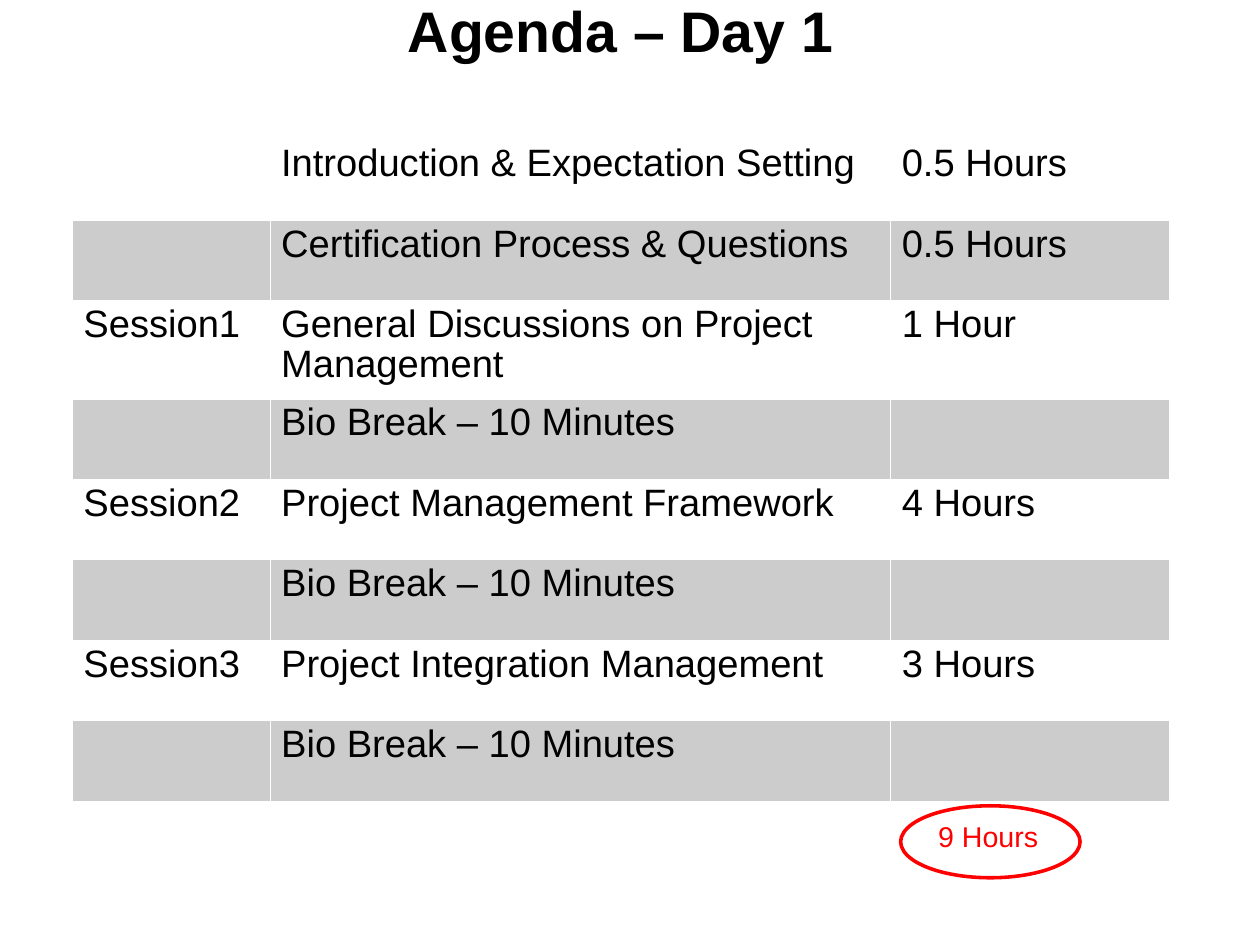
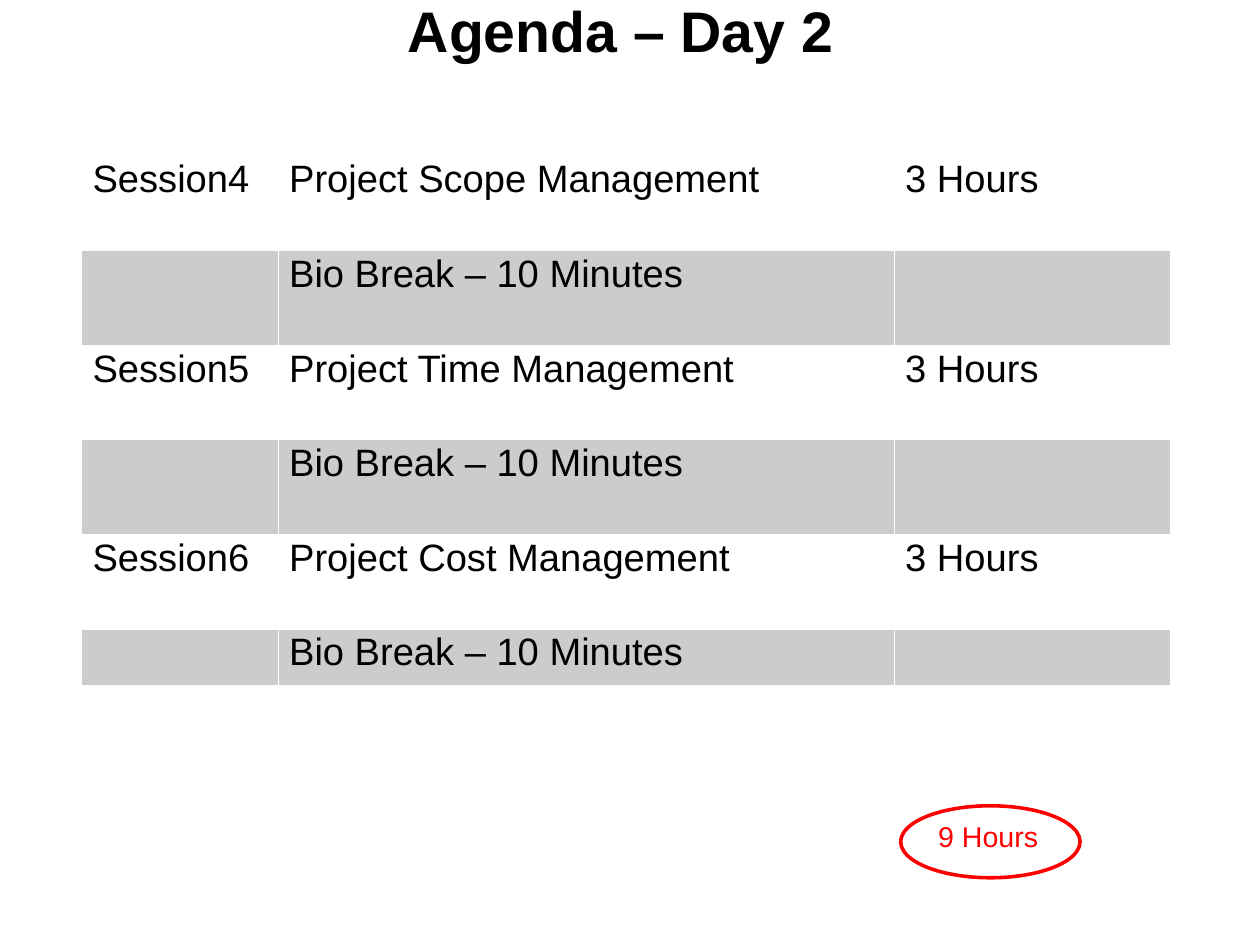
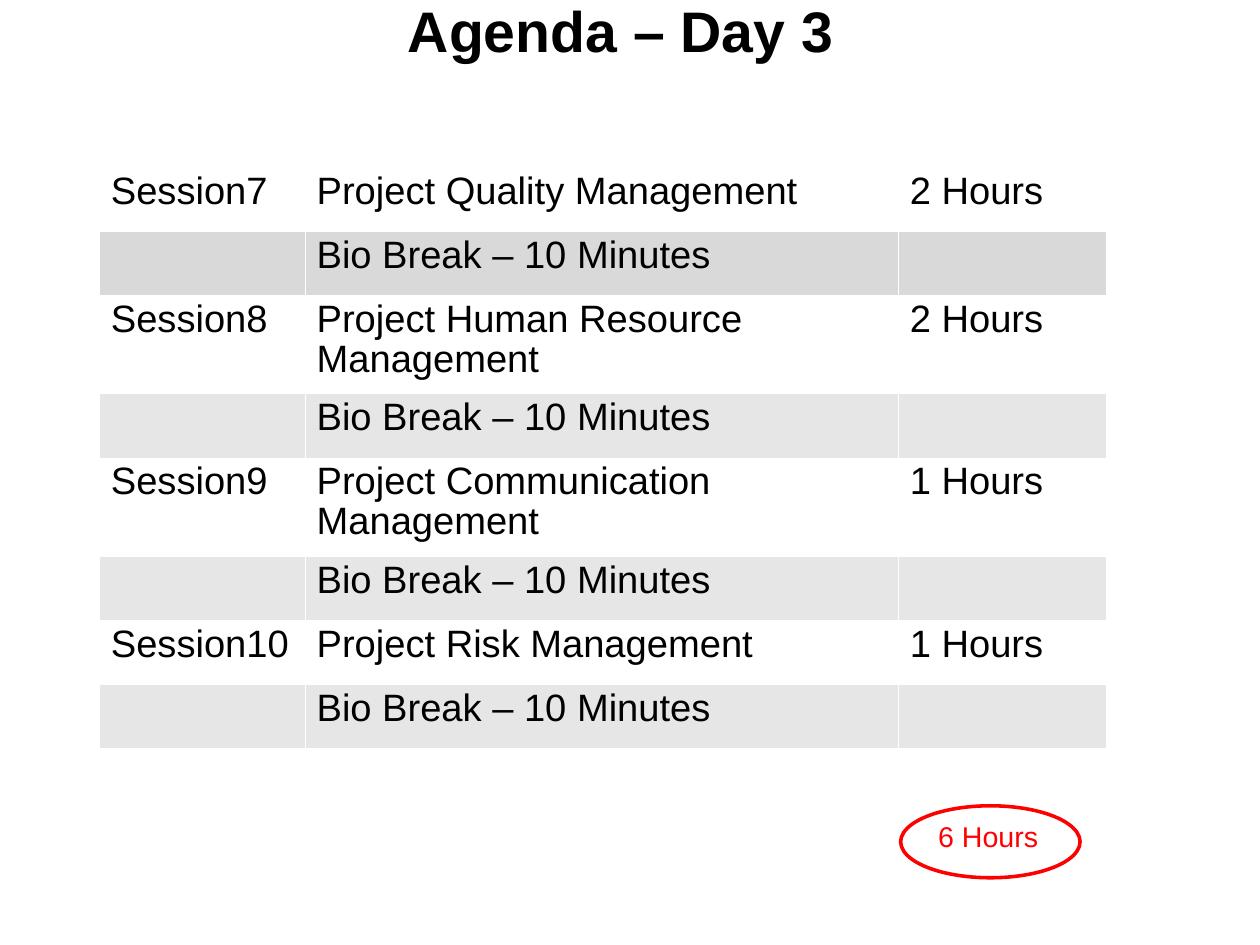
from lxml import etree
from pptx import Presentation
from pptx.dml.color import RGBColor
from pptx.enum.shapes import MSO_SHAPE
from pptx.enum.text import MSO_ANCHOR, MSO_AUTO_SIZE, PP_ALIGN
from pptx.oxml.ns import qn
from pptx.util import Cm, Inches, Pt

OVAL = MSO_SHAPE.OVAL
LEFT, CENTER = PP_ALIGN.LEFT, PP_ALIGN.CENTER
TOP, MIDDLE = MSO_ANCHOR.TOP, MSO_ANCHOR.MIDDLE
NO_FIT = MSO_AUTO_SIZE.NONE

WIDTH, HEIGHT = Cm(28), Cm(21)
FONT = "Arial"
BLACK, WHITE, RED = "000000", "FFFFFF", "FF0000"
GRAY, PALE, FAINT = "CCCCCC", "D9D9D9", "E6E6E6"
LEADING = 0.93
RULE = Pt(0.06)
TITLE_BOX = (0.59, 0, 9.68, 0.59)
TOTAL_BOX = (7.88, 7.05, 1.57, 0.63)
WRAP = 0.86  # height of a row whose topic takes two lines

BREAK = ("", "Bio Break – 10 Minutes", "")

# fixed: heights of special rows; the other rows share what is left
DAYS = [
    dict(
        title="Agenda – Day 1", total="9 Hours",
        spot=(0.63, 1.22), high=5.79, cols=(1.73, 5.43, 2.44),
        fixed={2: WRAP}, bands=[GRAY] * 4,
        rows=[
            ("", "Introduction & Expectation Setting", "0.5 Hours"),
            ("", "Certification Process & Questions", "0.5 Hours"),
            ("Session1", "General Discussions on Project Management", "1 Hour"),
            BREAK,
            ("Session2", "Project Management Framework", "4 Hours"),
            BREAK,
            ("Session3", "Project Integration Management", "3 Hours"),
            BREAK,
        ],
    ),
    dict(
        title="Agenda – Day 2", total="9 Hours",
        spot=(0.71, 1.36), high=4.63, cols=(1.72, 5.39, 2.42),
        fixed={5: 0.49}, bands=[GRAY] * 3,
        rows=[
            ("Session4", "Project Scope Management", "3 Hours"),
            BREAK,
            ("Session5", "Project Time Management", "3 Hours"),
            BREAK,
            ("Session6", "Project Cost Management", "3 Hours"),
            BREAK,
        ],
    ),
    dict(
        title="Agenda – Day 3", total="6 Hours",
        spot=(0.87, 1.46), high=5.09, cols=(1.8, 5.19, 1.82),
        fixed={2: WRAP, 4: WRAP}, bands=[PALE] + [FAINT] * 3,
        rows=[
            ("Session7", "Project Quality Management", "2 Hours"),
            BREAK,
            ("Session8", "Project Human Resource Management", "2 Hours"),
            BREAK,
            ("Session9", "Project Communication Management", "1 Hours"),
            BREAK,
            ("Session10", "Project Risk Management", "1 Hours"),
            BREAK,
        ],
    ),
]


def color(code):
    return RGBColor.from_string(code)


def paint(item, code):
    item.fill.solid()
    item.fill.fore_color.rgb = color(code)


def write(frame, text, size, code=BLACK, bold=False, align=LEFT):
    para = frame.paragraphs[0]
    para.alignment = align
    para.line_spacing = LEADING
    run = para.add_run()
    run.text = text
    font = run.font
    font.name, font.size, font.bold = FONT, Pt(size), bold
    font.color.rgb = color(code)


def edge(cell, code):
    """Draw a hairline on all four sides; call before filling the cell."""
    props = cell._tc.get_or_add_tcPr()
    for side in ("lnL", "lnR", "lnT", "lnB"):
        line = etree.SubElement(props, qn(f"a:{side}"), w=str(RULE))
        fill = etree.SubElement(line, qn("a:solidFill"))
        etree.SubElement(fill, qn("a:srgbClr"), val=code)


def add_title(slide, text):
    title = slide.shapes.title
    title.left, title.top, title.width, title.height = map(Inches, TITLE_BOX)
    frame = title.text_frame
    frame.auto_size = NO_FIT
    frame.vertical_anchor = MIDDLE
    frame.margin_left = frame.margin_right = 0
    frame.margin_top = frame.margin_bottom = 0
    write(frame, text, 36, bold=True, align=CENTER)


def add_plan(slide, spot, high, cols, rows, fixed, bands):
    """Add the session table, with every second row in its band colour."""
    box = map(Inches, (*spot, sum(cols), high))
    table = slide.shapes.add_table(len(rows), len(cols), *box).table
    table.first_row = table.horz_banding = False
    for col, wide in zip(table.columns, cols):
        col.width = Inches(wide)
    share = (high - sum(fixed.values())) / (len(rows) - len(fixed))
    for r, texts in enumerate(rows):
        table.rows[r].height = Inches(fixed.get(r, share))
        back = bands[r // 2] if r % 2 else WHITE
        for c, text in enumerate(texts):
            cell = table.cell(r, c)
            edge(cell, WHITE)
            paint(cell, back)
            if text:
                write(cell.text_frame, text, 24)


def add_total(slide, text):
    oval = slide.shapes.add_shape(OVAL, *map(Inches, TOTAL_BOX))
    oval.shadow.inherit = False
    oval.fill.background()
    oval.line.color.rgb = color(RED)
    oval.line.width = Pt(2.25)
    frame = oval.text_frame
    frame.word_wrap = True
    frame.vertical_anchor = TOP
    write(frame, text, 18, RED)


def main():
    deck = Presentation()
    deck.slide_width, deck.slide_height = WIDTH, HEIGHT
    paint(deck.slide_master.background, WHITE)
    layout = deck.slide_layouts.get_by_name("Title Only")
    for day in DAYS:
        slide = deck.slides.add_slide(layout)
        add_title(slide, day["title"])
        add_plan(slide, day["spot"], day["high"], day["cols"],
                 day["rows"], day["fixed"], day["bands"])
        add_total(slide, day["total"])
    deck.save("out.pptx")


if __name__ == "__main__":
    main()
